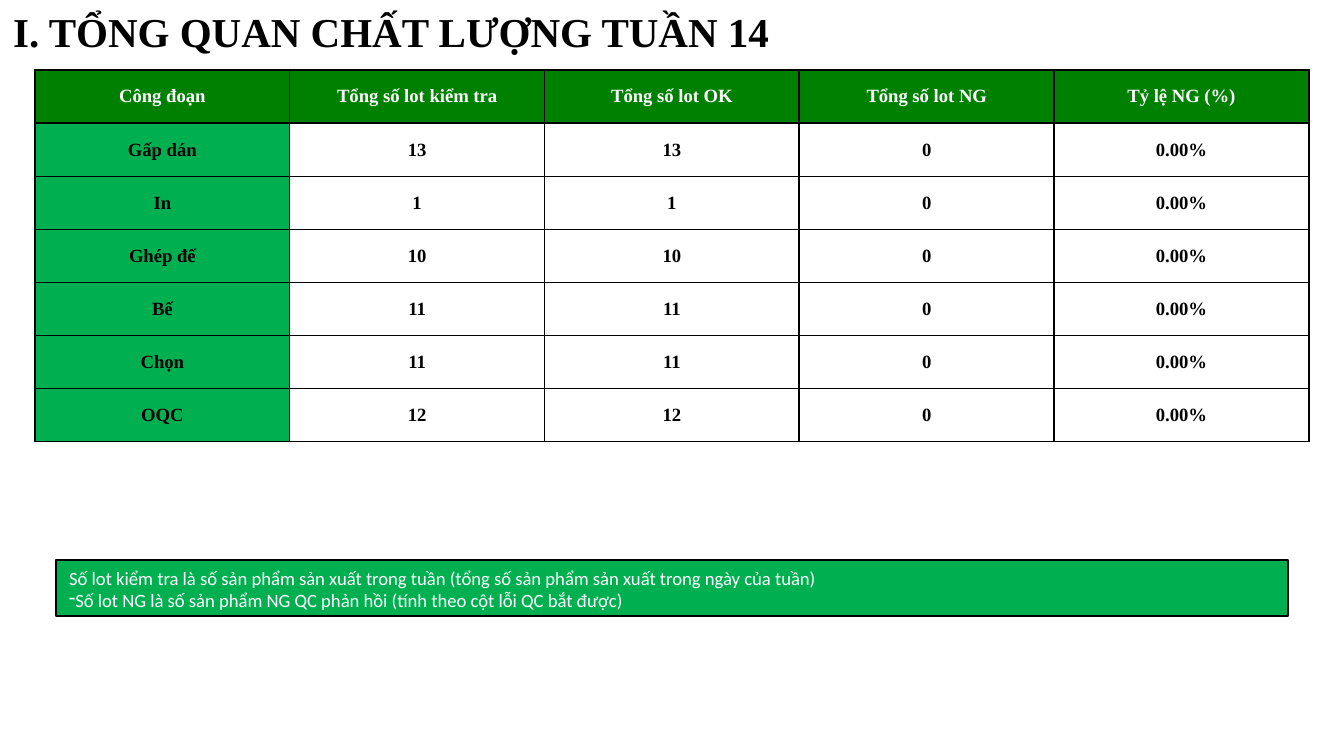
"""Build the week 14 quality overview slide."""
from dataclasses import dataclass

from lxml.etree import SubElement
from pptx import Presentation
from pptx.dml.color import RGBColor as RGB
from pptx.enum.shapes import MSO_SHAPE as Shape
from pptx.enum.text import MSO_ANCHOR as Anchor, MSO_AUTO_SIZE as AutoSize, PP_ALIGN as Align
from pptx.oxml.ns import qn
from pptx.util import Pt


@dataclass(frozen=True)
class Theme:
    black: RGB = RGB(0, 0, 0)
    white: RGB = RGB(255, 255, 255)
    header: RGB = RGB(0, 0x80, 0)
    green: RGB = RGB(0, 0xB0, 0x50)
    serif: str = "Times New Roman"
    sans: str = "Calibri"
    title: float = 22
    body: float = 10
    line: float = 1


@dataclass(frozen=True)
class Stage:
    name: str
    checked: int
    ok: int
    ng: int = 0

    def texts(self) -> list[str]:
        return [self.name, str(self.checked), str(self.ok), str(self.ng),
                f"{self.ng / self.checked:.2%}"]


@dataclass(frozen=True)
class Box:
    left: float
    top: float
    width: float
    height: float

    def emu(self) -> tuple:
        return Pt(self.left), Pt(self.top), Pt(self.width), Pt(self.height)


THEME = Theme()
HEADERS = ["Công đoạn", "Tổng số lot kiểm tra", "Tổng số lot OK", "Tổng số lot NG", "Tỷ lệ NG (%)"]
STAGES = [
    Stage("Gấp dán", 13, 13),
    Stage("In", 1, 1),
    Stage("Ghép đế", 10, 10),
    Stage("Bế", 11, 11),
    Stage("Chọn", 11, 11),
    Stage("OQC", 12, 12),
]
NOTES = [
    "Số lot kiểm tra là số sản phẩm sản xuất trong tuần (tổng số sản phẩm sản xuất trong ngày của tuần)",
    "Số lot NG là số sản phẩm NG QC phản hồi (tính theo cột lỗi QC bắt được)",
]


def write(p, text: str, *, size=THEME.body, font=THEME.serif, color=THEME.black,
          bold=False, align=Align.LEFT, bullet="") -> None:
    p.alignment = align
    if bullet:
        pPr = p._p.get_or_add_pPr()
        pPr.set("marL", "0")
        pPr.set("indent", "0")
        SubElement(pPr, qn("a:buChar")).set("char", bullet)
    r = p.add_run()
    r.text = text
    r.font.size, r.font.name, r.font.bold = Pt(size), font, bold
    r.font.color.rgb = color


def add_borders(cell) -> None:
    tcPr = cell._tc.get_or_add_tcPr()
    for i, side in enumerate(("lnL", "lnR", "lnT", "lnB")):
        ln = SubElement(tcPr, qn(f"a:{side}"), w=str(Pt(THEME.line)))
        fill = SubElement(ln, qn("a:solidFill"))
        SubElement(fill, qn("a:srgbClr"), val=str(THEME.black))
        tcPr.insert(i, ln)


def draw_cell(cell, text: str, fill: RGB, color: RGB) -> None:
    cell.margin_left = cell.margin_right = cell.margin_top = cell.margin_bottom = 0
    cell.vertical_anchor = Anchor.MIDDLE
    cell.fill.solid()
    cell.fill.fore_color.rgb = fill
    add_borders(cell)
    write(cell.text_frame.paragraphs[0], text, color=color, bold=True, align=Align.CENTER)


def draw_title(s, box: Box, text: str) -> None:
    tf = s.shapes.add_textbox(*box.emu()).text_frame
    tf.word_wrap = True
    tf.auto_size = AutoSize.SHAPE_TO_FIT_TEXT
    write(tf.paragraphs[0], text, size=THEME.title, bold=True, align=Align.JUSTIFY)


def draw_table(s, box: Box, rows: list[list[str]]) -> None:
    table = s.shapes.add_table(len(rows), len(rows[0]), *box.emu()).table
    for row in table.rows:
        row.height = Pt(box.height / len(rows))
    for i, texts in enumerate(rows):
        for j, text in enumerate(texts):
            fill = THEME.header if i == 0 else THEME.green if j == 0 else THEME.white
            draw_cell(table.cell(i, j), text, fill, THEME.black if i else THEME.white)


def draw_notes(s, box: Box, notes: list[str]) -> None:
    sp = s.shapes.add_shape(Shape.RECTANGLE, *box.emu())
    sp.shadow.inherit = False
    sp.fill.solid()
    sp.fill.fore_color.rgb = THEME.green
    sp.line.color.rgb = THEME.black
    sp.line.width = Pt(THEME.line)
    tf = sp.text_frame
    tf.word_wrap = True
    tf.auto_size = AutoSize.SHAPE_TO_FIT_TEXT
    tf.vertical_anchor = Anchor.TOP
    for i, note in enumerate(notes):
        p = tf.add_paragraph() if i else tf.paragraphs[0]
        write(p, note, font=THEME.sans, color=THEME.white, bullet="-" if i else "")


def main() -> None:
    prs = Presentation()
    prs.slide_width, prs.slide_height = Pt(720), Pt(405)
    s = prs.slides.add_slide(prs.slide_layouts[6])
    draw_title(s, Box(0, 0, 720, 30.5), "I. TỔNG QUAN CHẤT LƯỢNG TUẦN 14")
    draw_table(s, Box(18.7, 37.6, 682.5, 199.2), [HEADERS] + [st.texts() for st in STAGES])
    draw_notes(s, Box(30, 300, 660, 30), NOTES)
    prs.save("out.pptx")


if __name__ == "__main__":
    main()
